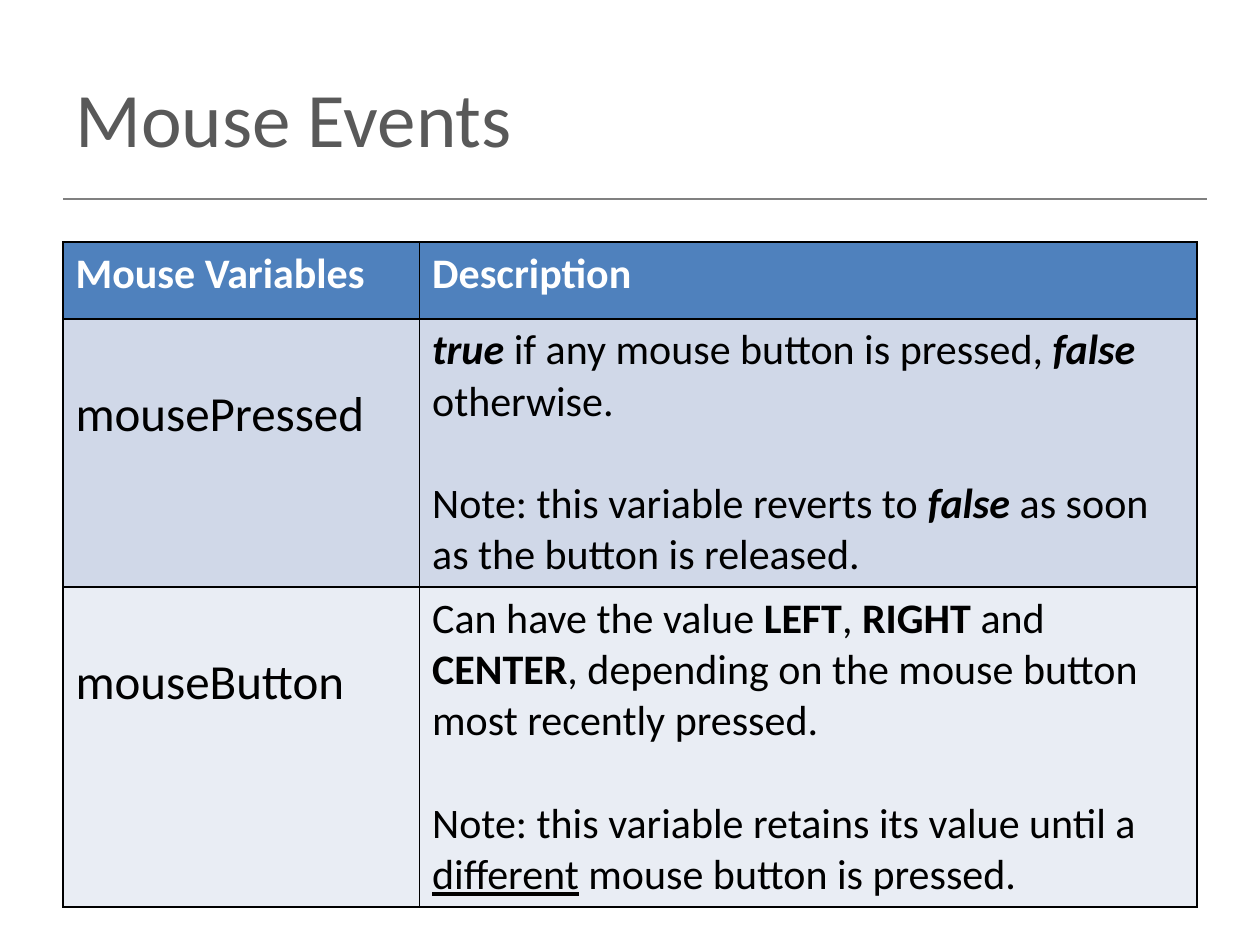
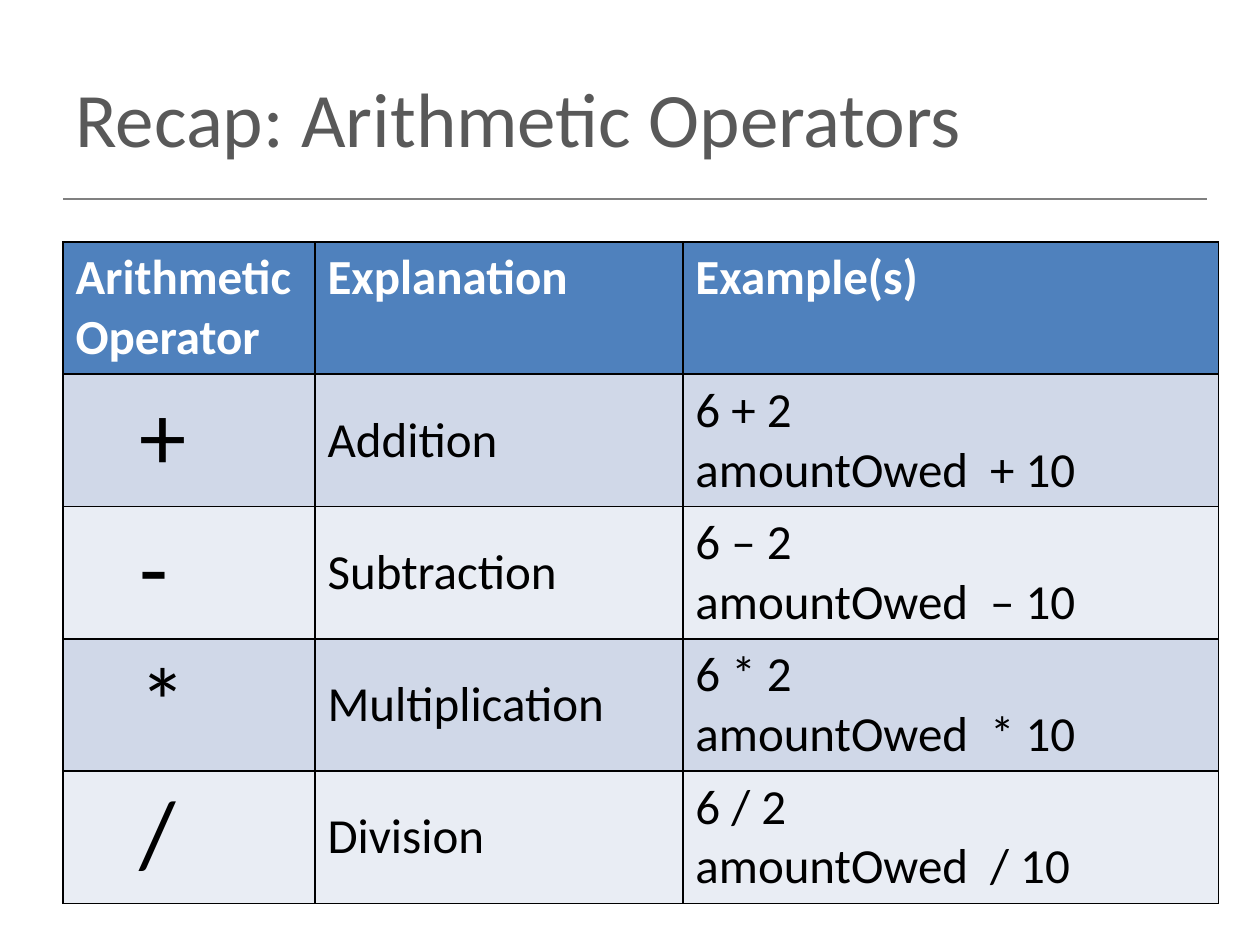
"""Build two lesson slides, each a title, a rule and a reference table."""
from lxml.etree import SubElement
from pptx import Presentation
from pptx.dml.color import RGBColor
from pptx.enum.text import MSO_ANCHOR
from pptx.oxml import parse_xml
from pptx.oxml.ns import nsdecls, qn
from pptx.util import Inches, Pt

FONT = "Calibri"
TITLE_GREY = RGBColor(0x59, 0x59, 0x59)
RULE_GREY = RGBColor(0x80, 0x80, 0x80)
BLACK = RGBColor(0, 0, 0)
WHITE = RGBColor(0xFF, 0xFF, 0xFF)
HEADER_BLUE = RGBColor(0x4F, 0x81, 0xBD)
BANDS = RGBColor(0xD0, 0xD8, 0xE8), RGBColor(0xE9, 0xED, 0xF4)

LEFT, TABLE_TOP, RULE_Y, RULE_END = 0.5, 1.92, 1.58, 9.58
LINE_HEIGHT = 1.22
CELL_LEFT, CELL_TOP = 0.1, 0.05

MOUSE_ROWS = [
    ("mousePressed", [
        [("true ", "bi"), ("if any mouse button is pressed, ", ""),
         ("false ", "bi"), ("otherwise.", "")],
        [("Note: this variable reverts to ", ""), ("false ", "bi"),
         ("as soon as the button is released.", "")]]),
    ("mouseButton", [
        [("Can have the value ", ""), ("LEFT", "b"), (", ", ""), ("RIGHT ", "b"),
         ("and ", ""), ("CENTER", "b"),
         (", depending on the mouse button most recently pressed.", "")],
        [("Note: this variable retains its value until a ", ""),
         ("different", "u"), (" mouse button is pressed.", "")]]),
]
OPERATORS = [("+", "+", "Addition"), ("-", "–", "Subtraction"),
             ("*", "*", "Multiplication"), ("/", "/", "Division")]

MOUSE_COLUMNS = [
    dict(width=2.83, size=28, top=CELL_TOP + 28 * LINE_HEIGHT / 72),
    dict(width=6.17, size=24, gap=24 * LINE_HEIGHT),
]
OPERATOR_COLUMNS = [
    dict(width=2, size=54, left=CELL_LEFT + 0.51),
    dict(width=2.92, size=28, anchor=MSO_ANCHOR.MIDDLE),
    dict(width=4.25, size=28),
]
LESSONS = [
    dict(title="Mouse Events", header=["Mouse Variables", "Description"],
         header_size=24, columns=MOUSE_COLUMNS, heights=[0.61, 2.13, 2.54],
         rows=[[[[(name, "")]], notes] for name, notes in MOUSE_ROWS]),
    dict(title="Recap: Arithmetic Operators",
         header=["Arithmetic Operator", "Explanation", "Example(s)"],
         header_size=28, columns=OPERATOR_COLUMNS, heights=[1.05] * 5,
         rows=[[[[(symbol, "")]], [[(meaning, "")]],
                [[(f"6 {sign} 2", "")], [(f"amountOwed  {sign} 10", "")]]]
               for symbol, sign, meaning in OPERATORS]),
]


def write(frame, paragraphs, size, color, gap=0):
    for index, runs in enumerate(paragraphs):
        paragraph = frame.add_paragraph() if index else frame.paragraphs[0]
        if index and gap:
            paragraph.space_before = Pt(gap)
        for words, style in runs:
            run = paragraph.add_run()
            run.text = words
            font = run.font
            font.name, font.size, font.color.rgb = FONT, Pt(size), color
            font.bold, font.italic = "b" in style, "i" in style
            font.underline = "u" in style


def add_borders(cell):
    properties = cell._tc.get_or_add_tcPr()
    for index, side in enumerate("LRTB"):
        properties.insert(index, parse_xml(
            f'<a:ln{side} {nsdecls("a")} w="{Pt(1)}"><a:solidFill>'
            f'<a:srgbClr val="{BLACK}"/></a:solidFill></a:ln{side}>'))


def fill_cell(cell, paragraphs, size, color, fill, gap=0, left=CELL_LEFT,
              top=CELL_TOP, anchor=MSO_ANCHOR.TOP):
    cell.fill.solid()
    cell.fill.fore_color.rgb = fill
    cell.margin_left, cell.margin_top = Inches(left), Inches(top)
    cell.vertical_anchor = anchor
    write(cell.text_frame, paragraphs, size, color, gap)
    add_borders(cell)


def add_heading(slide, title):
    rule = slide.shapes.add_connector(
        1, Inches(LEFT), Inches(RULE_Y), Inches(RULE_END), Inches(RULE_Y))
    rule.line.color.rgb, rule.line.width = RULE_GREY, Pt(1)
    SubElement(rule._element.spPr, qn("a:effectLst"))
    heading = slide.shapes.add_textbox(
        Inches(LEFT), Inches(0.3), Inches(9), Inches(1.25)).text_frame
    heading.word_wrap = True
    heading.vertical_anchor = MSO_ANCHOR.MIDDLE
    write(heading, [[(title, "")]], 44, TITLE_GREY)


def add_reference(slide, header, header_size, columns, heights, rows):
    width = sum(column["width"] for column in columns)
    table = slide.shapes.add_table(
        len(heights), len(columns), Inches(LEFT), Inches(TABLE_TOP),
        Inches(width), Inches(sum(heights))).table
    for row, height in zip(table.rows, heights):
        row.height = Inches(height)
    for c, column in enumerate(columns):
        table.columns[c].width = Inches(column["width"])
        fill_cell(table.cell(0, c), [[(header[c], "b")]], header_size,
                  WHITE, HEADER_BLUE)
        layout = {key: value for key, value in column.items() if key != "width"}
        for r, row in enumerate(rows):
            fill_cell(table.cell(r + 1, c), row[c], color=BLACK,
                      fill=BANDS[r % 2], **layout)


def main():
    deck = Presentation()
    deck.slide_width, deck.slide_height = Inches(10), Inches(7.5)
    for lesson in LESSONS:
        slide = deck.slides.add_slide(deck.slide_layouts[6])
        reference = dict(lesson)
        add_heading(slide, reference.pop("title"))
        add_reference(slide, **reference)
    deck.save("out.pptx")


if __name__ == "__main__":
    main()
